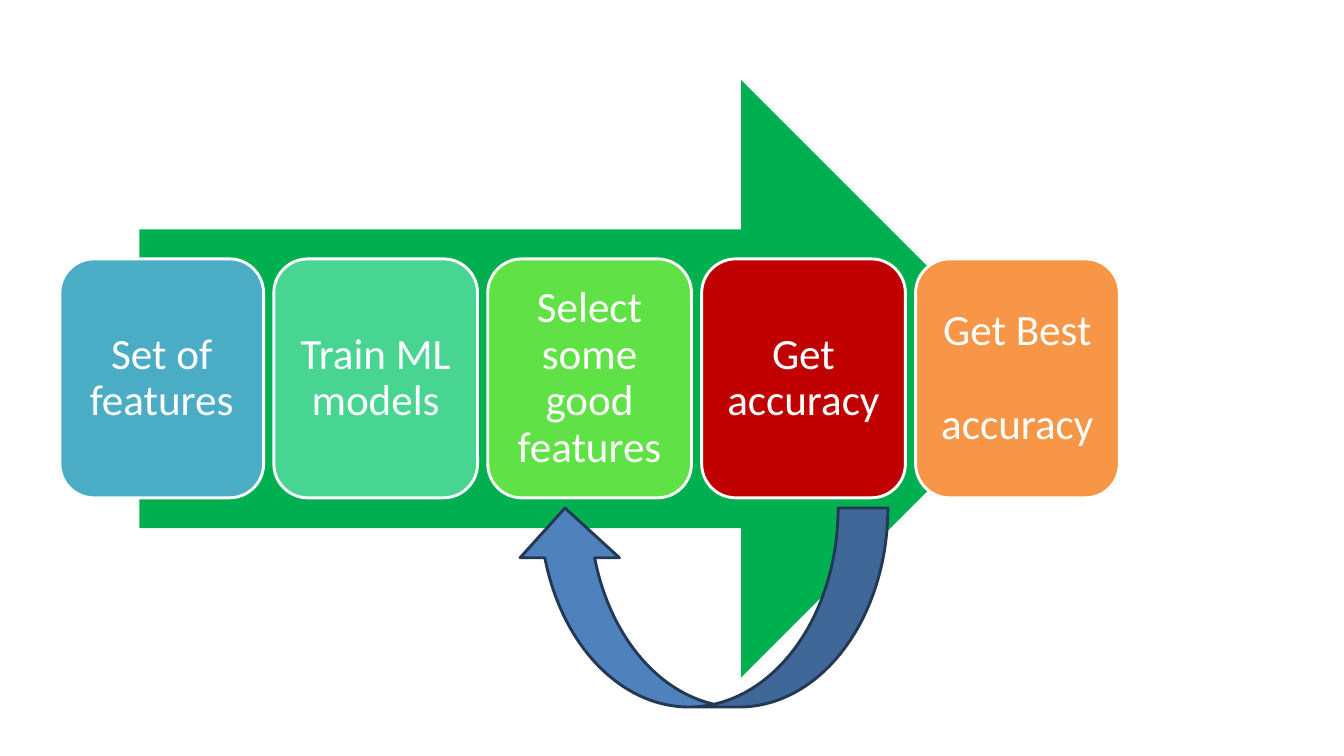
import pptx
import pptx.util
import pptx.dml.color
import pptx.enum.shapes
import pptx.enum.text

Cm = pptx.util.Cm
Pt = pptx.util.Pt
RGBColor = pptx.dml.color.RGBColor
Preset = pptx.enum.shapes.MSO_SHAPE

WHITE = RGBColor(0xFF, 0xFF, 0xFF)
GREEN = RGBColor(0x00, 0xB0, 0x50)
TEAL = RGBColor(0x4B, 0xAC, 0xC6)
MINT = RGBColor(0x48, 0xD4, 0x91)
LIME = RGBColor(0x60, 0xE1, 0x46)
RED = RGBColor(0xC0, 0x00, 0x00)
ORANGE = RGBColor(0xF7, 0x96, 0x46)
BLUE = RGBColor(0x4F, 0x81, 0xBD)
NAVY = RGBColor(0x23, 0x39, 0x53)

STEPS = [
    ("Set of features", TEAL),
    ("Train ML models", MINT),
    ("Select some good features", LIME),
    ("Get accuracy", RED),
    ("Get Best\naccuracy", ORANGE),
]
STEP_GAP = 0.25
FRAME_FORMAT = {
    "word_wrap": True,
    "vertical_anchor": pptx.enum.text.MSO_ANCHOR.MIDDLE,
    "margin_left": Cm(0.3),
    "margin_right": Cm(0.3),
    "margin_top": Cm(0.3),
    "margin_bottom": Cm(0.3),
}
PARA_FORMAT = {"alignment": pptx.enum.text.PP_ALIGN.CENTER, "line_spacing": 0.9}
FONT_FORMAT = {"name": "Calibri", "size": Pt(30)}


def apply_format(target, values):
    """Set each named attribute on the target."""
    for name, value in values.items():
        setattr(target, name, value)


def add_block(page, preset, box, fill, line=None):
    """Add a flat preset shape in a box given in centimetres."""
    block = page.shapes.add_shape(preset, *(Cm(length) for length in box))
    block.shadow.inherit = False
    block.fill.solid()
    block.fill.fore_color.rgb = fill
    if line is None:
        block.line.fill.background()
    else:
        block.line.color.rgb = line
        block.line.width = Pt(2)
    return block


def write_label(block, label):
    """Write a centred white label, with a one-line gap between its parts."""
    frame = block.text_frame
    apply_format(frame, FRAME_FORMAT)
    for index, part in enumerate(label.split("\n")):
        para = frame.add_paragraph() if index else frame.paragraphs[0]
        para.text = part
        apply_format(para, PARA_FORMAT)
        apply_format(para.font, FONT_FORMAT)
        para.font.color.rgb = WHITE
        if index:
            para.space_before = Pt(33)


def add_steps(page, box):
    """Spread the process steps evenly across the box."""
    left, top, width, height = box
    step_width = (width - STEP_GAP * (len(STEPS) - 1)) / len(STEPS)
    for index, (label, fill) in enumerate(STEPS):
        step_left = left + index * (step_width + STEP_GAP)
        step_box = (step_left, top, step_width, height)
        write_label(add_block(page, Preset.ROUNDED_RECTANGLE, step_box, fill, WHITE), label)


def add_feedback_arrow(page, box):
    """Fit a quarter-turned curved arrow into the box, pointing back up."""
    left, top, width, height = box
    shift = (width - height) / 2
    turned_box = (left + shift, top - shift, height, width)
    arrow = add_block(page, Preset.CURVED_LEFT_ARROW, turned_box, BLUE, NAVY)
    arrow.rotation = 90


def add_process(page, box):
    """Place the big arrow, the steps and the feedback arrow in the box."""
    left, top, width, height = box
    add_block(page, Preset.RIGHT_ARROW, (left + 1.95, top, width - 3.9, height - 0.7), GREEN)
    add_steps(page, (left, top + 4.39, width, 5.86))
    add_feedback_arrow(page, (left + 11.17, top + 10.5, 9.14, 4.88))


def main():
    """Build the one-slide deck."""
    deck = pptx.Presentation()
    deck.slide_width = Cm(32.97)
    deck.slide_height = Cm(18.54)
    page = deck.slides.add_slide(deck.slide_layouts[6])
    add_process(page, (1.47, 1.96, 25.99, 15.36))
    deck.save("out.pptx")


if __name__ == "__main__":
    main()
